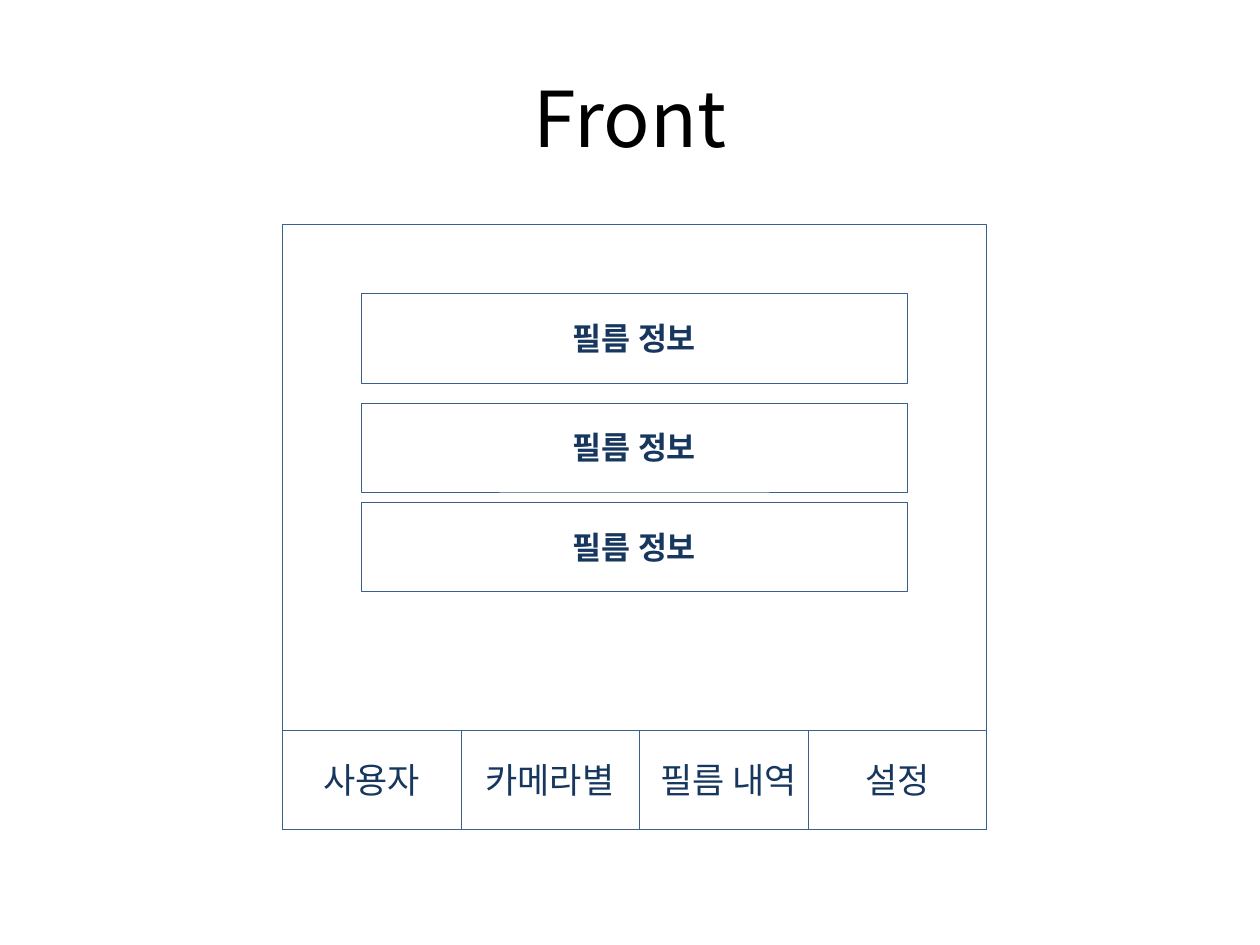
from lxml.etree import SubElement
from pptx import Presentation
from pptx.dml.color import RGBColor
from pptx.enum.shapes import MSO_SHAPE
from pptx.enum.text import MSO_ANCHOR, PP_ALIGN
from pptx.oxml.ns import qn
from pptx.util import Cm, Pt

COLORS = {"title": "000000", "label": "17375E", "line": "3A5F8C", "fill": "FFFFFF"}
FONT = "Noto Sans CJK KR"


class Wireframe:
    """Holds the style and the current slide."""

    def __init__(self, page):
        self.page = page

    def set_text(self, shape, text, size, color, bold=False):
        frame = shape.text_frame
        frame.text = text
        frame.word_wrap = True
        frame.vertical_anchor = MSO_ANCHOR.MIDDLE
        para = frame.paragraphs[0]
        para.alignment = PP_ALIGN.CENTER
        for span in para.runs:
            span.font.name = FONT
            span.font.size = Pt(size)
            span.font.bold = bold
            span.font.color.rgb = RGBColor.from_string(COLORS[color])
            # Hangul takes the East Asian typeface
            SubElement(span.font._element, qn("a:ea"), typeface=FONT)

    def title(self, text, left, top, width, height):
        box = self.page.shapes.add_textbox(Cm(left), Cm(top), Cm(width), Cm(height))
        self.set_text(box, text, 44, "title")

    def panel(self, left, top, width, height, line=0.25):
        box = self.page.shapes.add_shape(
            MSO_SHAPE.RECTANGLE, Cm(left), Cm(top), Cm(width), Cm(height))
        box.shadow.inherit = False
        box.fill.solid()
        box.fill.fore_color.rgb = RGBColor.from_string(COLORS["fill"])
        box.line.color.rgb = RGBColor.from_string(COLORS["line"])
        box.line.width = Pt(line)
        return box

    def button(self, text, left, top, width, height, size, bold=False):
        box = self.panel(left, top, width, height)
        self.set_text(box, text, size, "label", bold)


def main():
    deck = Presentation()
    deck.slide_width, deck.slide_height = Cm(25.4), Cm(19.05)
    frame = Wireframe(deck.slides.add_slide(deck.slide_layouts[6]))

    frame.title("Front", 1.27, 0.76, 22.86, 3.18)

    # App screen
    screen_left, screen_width = 5.69, 14.2
    frame.panel(screen_left, 4.52, screen_width, 12.2, line=0.5)

    # Film cards
    card_width = 11
    card_left = screen_left + (screen_width - card_width) / 2
    for top in (5.92, 8.12, 10.12):
        frame.button("필름 정보", card_left, top, card_width, 1.8, 18, bold=True)

    # Bottom menu: tabs run from the left, the last one ends at the right edge
    menu_top, menu_height, tab_width = 14.72, 2, 3.6
    frame.panel(screen_left, menu_top, screen_width, menu_height)
    for index, name in enumerate(("사용자", "카메라별", "필름 내역", "설정")):
        offset = min(index * tab_width, screen_width - tab_width)
        frame.button(name, screen_left + offset, menu_top, tab_width, menu_height, 20)

    deck.save("out.pptx")


if __name__ == "__main__":
    main()
